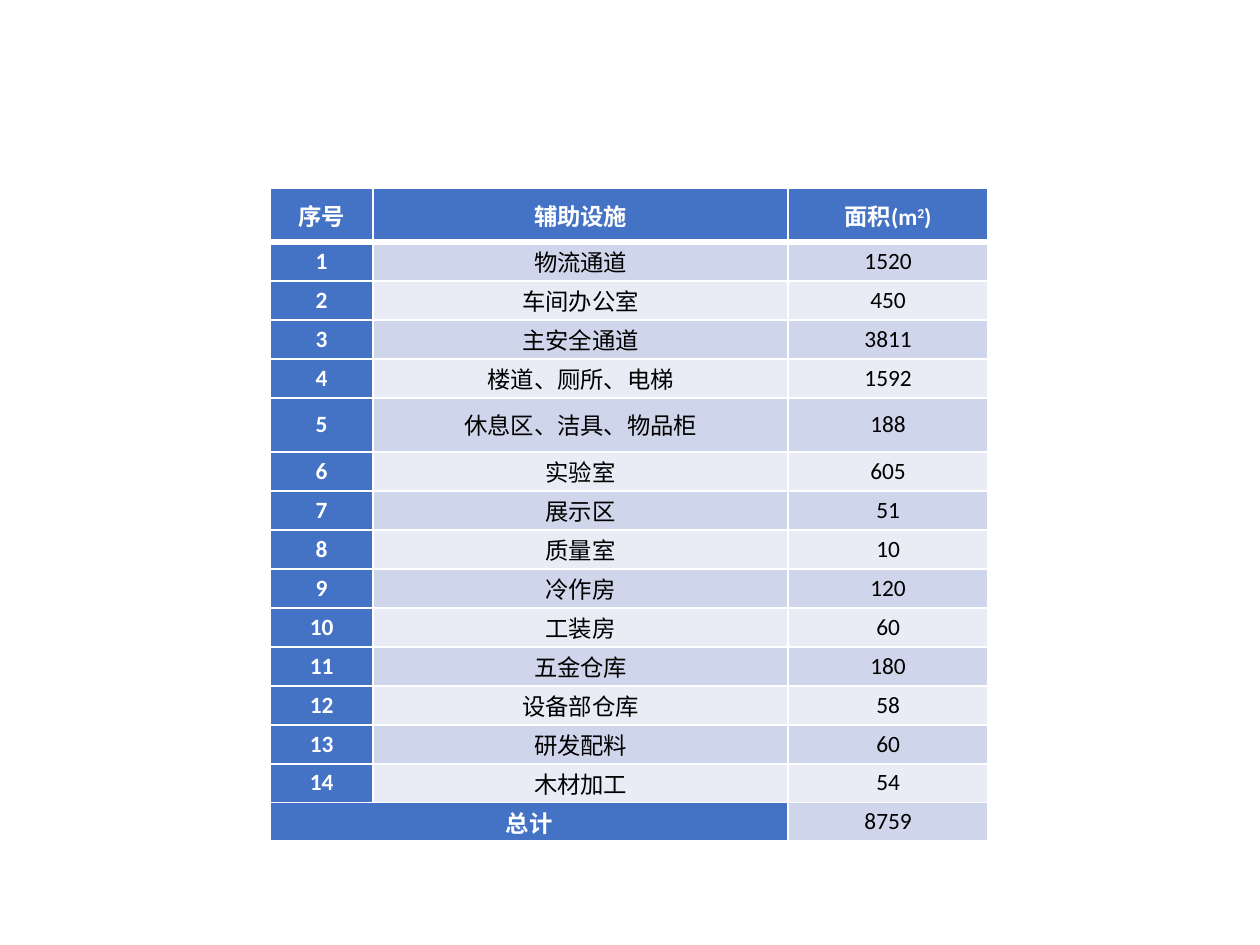
from dataclasses import dataclass

from lxml import etree
from pptx import Presentation
from pptx import util as u
from pptx.dml.color import RGBColor
from pptx.enum import text
from pptx.oxml import ns

PX = u.Inches(1) // 168


@dataclass
class Theme:
    accent: str = "4472C4"
    bands: tuple = ("CFD5EA", "E9EBF5")
    light: str = "FFFFFF"
    dark: str = "000000"
    font: str = "Calibri"
    size: int = 10
    line: int = 1
    header_line: int = 3
    margin: int = 5


class Deck:
    def __init__(self, theme, width, height):
        self.theme = theme
        self.prs = Presentation()
        self.prs.slide_width, self.prs.slide_height = width * PX, height * PX
        self.s = self.prs.slides.add_slide(self.prs.slide_layouts[6])

    def borders(self, cell, top, bottom):
        tcPr = cell._tc.get_or_add_tcPr()
        line = self.theme.line
        for side, width in zip("LRTB", (line, line, top, bottom)):
            ln = etree.SubElement(tcPr, ns.qn(f"a:ln{side}"), w=str(u.Pt(width)))
            fill = etree.SubElement(ln, ns.qn("a:solidFill"))
            etree.SubElement(fill, ns.qn("a:srgbClr"), val=self.theme.light)

    def cell(self, cell, parts, fill, strong, top, bottom):
        """Fill one cell; every second part is superscript."""
        t = self.theme
        self.borders(cell, top, bottom)
        cell.fill.solid()
        cell.fill.fore_color.rgb = RGBColor.from_string(fill)
        cell.margin_left = cell.margin_right = t.margin * PX
        cell.margin_top = cell.margin_bottom = 0
        cell.vertical_anchor = text.MSO_ANCHOR.MIDDLE
        p = cell.text_frame.paragraphs[0]
        p.alignment = text.PP_ALIGN.CENTER
        for i, part in enumerate(parts):
            r = p.add_run()
            r.text = part
            r.font.name, r.font.size, r.font.bold = t.font, u.Pt(t.size), strong
            r.font.color.rgb = RGBColor.from_string(t.light if strong else t.dark)
            if i % 2:
                r._r.get_or_add_rPr().set("baseline", "30000")

    def table(self, left, top, widths, heights, rows):
        """Table with a header row, a header column and a merged total label."""
        t = self.theme
        table = self.s.shapes.add_table(
            len(rows), len(widths), left * PX, top * PX,
            sum(widths) * PX, sum(heights) * PX).table
        for column, width in zip(table.columns, widths):
            column.width = width * PX
        for row, height in zip(table.rows, heights):
            row.height = height * PX
        last = len(rows) - 1
        table.cell(last, 0).merge(table.cell(last, 1))
        for i, row in enumerate(rows):
            upper = t.header_line if i == 1 else t.line
            lower = t.header_line if i == 0 else t.line
            for j, parts in enumerate(row):
                strong = i == 0 or j == 0 or (i == last and j == 1)
                fill = t.accent if strong else t.bands[(i - 1) % 2]
                self.cell(table.cell(i, j), parts, fill, strong, upper, lower)


# Content
AREAS = [
    ("物流通道", 1520), ("车间办公室", 450), ("主安全通道", 3811),
    ("楼道、厕所、电梯", 1592), ("休息区、洁具、物品柜", 188), ("实验室", 605),
    ("展示区", 51), ("质量室", 10), ("冷作房", 120), ("工装房", 60),
    ("五金仓库", 180), ("设备部仓库", 58), ("研发配料", 60), ("木材加工", 54),
]
TALL_ROWS = (0, 5)


def main():
    deck = Deck(Theme(), 1260, 945)

    # Facility area table
    rows = [(["序号"], ["辅助设施"], ["面积(m", "2", ")"])]
    rows += [([str(n)], [name], [str(area)])
             for n, (name, area) in enumerate(AREAS, 1)]
    rows.append((["总计"], [], [str(sum(area for _, area in AREAS))]))
    heights = [54 if i in TALL_ROWS else 39 for i in range(len(rows))]
    deck.table(270, 188, (103, 415, 200), heights, rows)

    deck.prs.save("out.pptx")


if __name__ == "__main__":
    main()
